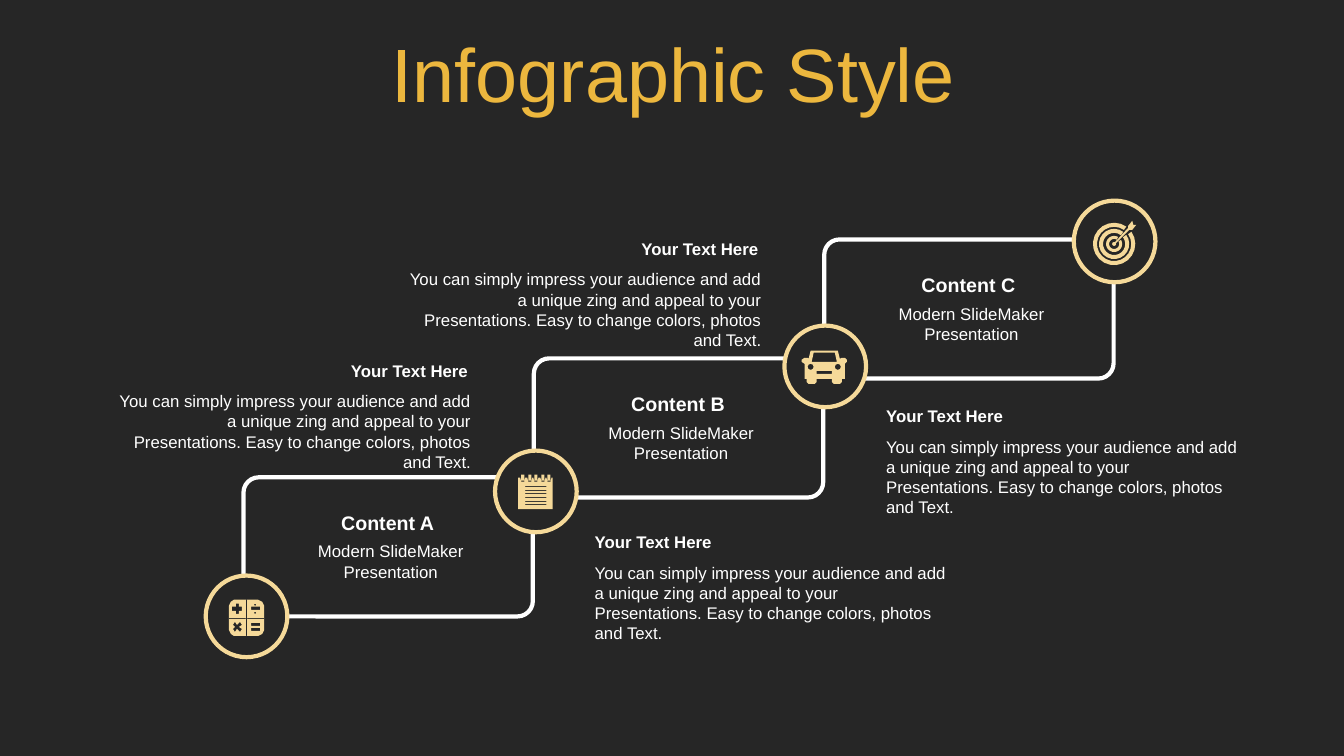
"""Build the "Infographic Style" slide: three stepped cards joined by icon circles."""
from dataclasses import dataclass
from math import cos, radians, sin

from pptx import Presentation
from pptx.dml.color import RGBColor
from pptx.enum.shapes import MSO_SHAPE
from pptx.enum.text import MSO_ANCHOR, MSO_AUTO_SIZE, PP_ALIGN
from pptx.util import Inches, Pt

ROUNDED, OVAL = MSO_SHAPE.ROUNDED_RECTANGLE, MSO_SHAPE.OVAL
LEFT, CENTER, RIGHT = PP_ALIGN.LEFT, PP_ALIGN.CENTER, PP_ALIGN.RIGHT
MIDDLE, GROW = MSO_ANCHOR.MIDDLE, MSO_AUTO_SIZE.SHAPE_TO_FIT_TEXT


@dataclass(frozen=True)
class Theme:
    font: str = "Arial"
    dark: RGBColor = RGBColor(0x26, 0x26, 0x26)
    white: RGBColor = RGBColor(0xFF, 0xFF, 0xFF)
    gold: RGBColor = RGBColor(0xEC, 0xB7, 0x3E)
    cream: RGBColor = RGBColor(0xF5, 0xD9, 0x99)
    title: int = 54
    heading: int = 14
    body: int = 12
    line: int = 3


theme = Theme()

prs = Presentation()
prs.slide_width, prs.slide_height = Inches(13.33), Inches(7.5)
s = prs.slides.add_slide(prs.slide_layouts[6])
s.background.fill.solid()
s.background.fill.fore_color.rgb = theme.dark


def add_text(box, text, size, align, bold=False, color=theme.white):
    """Add a one-paragraph text box and return its text frame."""
    tf = s.shapes.add_textbox(*map(Inches, box)).text_frame
    tf.word_wrap = True
    tf.auto_size = GROW
    p = tf.paragraphs[0]
    p.alignment = align
    r = p.add_run()
    r.text = text
    r.font.name, r.font.size, r.font.bold = theme.font, Pt(size), bold
    r.font.color.rgb = color
    return tf


def add_icon(parts):
    """Draw boxes, dots, rings and polygons as one outline; nested parts become holes."""
    contours = []
    for kind, *values in parts:
        if kind == "box":
            x, y, w, h = values
            points = [(x, y), (x + w, y), (x + w, y + h), (x, y + h)]
        elif kind == "dot":
            x, y, radius = values
            points = [(x + radius * cos(radians(a)), y + radius * sin(radians(a)))
                      for a in range(0, 360, 45)]
        elif kind == "ring":
            x, y, outer, inner, gap = values
            angles = [radians(-45 + gap + (360 - 2 * gap) * i / 20) for i in range(21)]
            points = [(x + outer * cos(a), y + outer * sin(a)) for a in angles]
            points += [(x + inner * cos(a), y + inner * sin(a)) for a in reversed(angles)]
        else:
            points = values
        contours.append([(Inches(x), Inches(y)) for x, y in points])
    builder = s.shapes.build_freeform(*contours[0][0])
    for i, points in enumerate(contours):
        if i:
            builder.move_to(*points[0])
        builder.add_line_segments(points[1:], close=True)
    sp = builder.convert_to_shape()
    sp.shadow.inherit = False
    sp.fill.solid()
    sp.fill.fore_color.rgb = theme.cream
    sp.line.fill.background()


tf = add_text((0.35, 0.31, 12.66, 0.92), "Infographic Style", theme.title, CENTER, color=theme.gold)
tf.vertical_anchor = MIDDLE
tf.paragraphs[0].line_spacing = 0.9

outlines = [(ROUNDED, 3.16 + 2.88 * i, 3.99 - 1.18 * i, 1.38, 2.87, theme.white) for i in range(3)]
outlines += [(OVAL, 2.04 + 2.87 * i, 5.71 - 1.24 * i, 0.81, 0.81, theme.cream) for i in range(4)]
for preset, x, y, w, h, color in outlines:
    sp = s.shapes.add_shape(preset, Inches(x), Inches(y), Inches(w), Inches(h))
    sp.shadow.inherit = False
    sp.fill.solid()
    sp.fill.fore_color.rgb = theme.dark
    sp.line.color.rgb = color
    sp.line.width = Pt(theme.line)
    if preset == ROUNDED:
        sp.adjustments[0] = 0.11
        sp.rotation = 270

for i, letter in enumerate("ABC"):
    x, y = 2.92 + 2.88 * i, 5.02 - 1.18 * i
    add_text((x, y, 1.85, 0.34), f"Content {letter}", theme.heading, CENTER, bold=True)
    tf = add_text((x, y + 0.3, 1.85, 0.5), "Modern SlideMaker Presentation", theme.body, CENTER)
    tf.margin_left = Inches(0.16)

NOTE = ("You can simply impress your audience and add a unique zing and appeal to your "
        "Presentations. Easy to change colors, photos and Text.")
for x, y, align in [(5.8, 5.23, LEFT), (8.69, 3.98, LEFT), (1.07, 3.53, RIGHT), (3.95, 2.32, RIGHT)]:
    add_text((x, y, 3.67, 0.3), "Your Text Here", theme.body, align, bold=True)
    add_text((x, y + 0.3, 3.7, 0.71), NOTE, theme.body, align)

calculator = [
    ("poly", (2.32, 5.95), (2.56, 5.95), (2.6, 5.97), (2.62, 6.01), (2.62, 6.25), (2.6, 6.29),
     (2.56, 6.31), (2.32, 6.31), (2.29, 6.29), (2.27, 6.25), (2.27, 6.01), (2.29, 5.97)),
    ("box", 2.44, 5.95, 0.01, 0.36),
    ("box", 2.27, 6.13, 0.17, 0.01),
    ("box", 2.45, 6.13, 0.17, 0.01),
    ("poly", (2.34, 5.99), (2.37, 5.99), (2.37, 6.02), (2.4, 6.02), (2.4, 6.06), (2.37, 6.06),
     (2.37, 6.09), (2.34, 6.09), (2.34, 6.06), (2.3, 6.06), (2.3, 6.02), (2.34, 6.02)),
    ("poly", (2.33, 6.17), (2.35, 6.2), (2.38, 6.17), (2.4, 6.2), (2.37, 6.22), (2.4, 6.24),
     (2.38, 6.27), (2.35, 6.24), (2.33, 6.27), (2.31, 6.24), (2.33, 6.22), (2.31, 6.2)),
    ("dot", 2.53, 6, 0.01),
    ("dot", 2.53, 6.08, 0.01),
]
calculator += [("box", 2.49, y, 0.09, 0.03) for y in (6.02, 6.18, 6.23)]

loops = [5.17, 5.24, 5.3, 5.37, 5.43]
page = [(5.14, 4.74)]
for x in loops:
    page += [(x - 0.01, 4.74), (x, 4.78), (x + 0.03, 4.78), (x + 0.04, 4.74)]
notepad = [("poly", *page, (5.48, 4.74), (5.48, 5.05), (5.14, 5.05))]
notepad += [("box", 5.21, y, 0.21, 0.01) for y in (4.82, 4.86, 4.89, 4.93, 4.97, 5)]
notepad += [("box", x, 4.71, 0.03, 0.06) for x in loops]

car = [
    ("poly", (8.04, 3.48), (8.31, 3.48), (8.33, 3.56), (8.35, 3.55), (8.38, 3.55), (8.4, 3.57),
     (8.4, 3.59), (8.38, 3.61), (8.38, 3.76), (8.35, 3.76), (8.35, 3.79), (8.33, 3.81),
     (8.27, 3.81), (8.25, 3.79), (8.25, 3.76), (8.1, 3.76), (8.1, 3.79), (8.08, 3.81),
     (8.02, 3.81), (8, 3.79), (8, 3.76), (7.98, 3.76), (7.98, 3.61), (7.95, 3.59),
     (7.95, 3.57), (7.98, 3.55), (8.01, 3.55), (8.02, 3.56)),
    ("poly", (8.07, 3.5), (8.28, 3.5), (8.3, 3.59), (8.05, 3.59)),
    ("dot", 8.04, 3.64, 0.03),
    ("dot", 8.31, 3.64, 0.03),
    ("box", 8.1, 3.68, 0.15, 0.03),
]

target = [("ring", 11.05, 2.42, outer, inner, gap) for outer, inner, gap in
          [(0.21, 0.17, 10), (0.15, 0.11, 8), (0.08, 0.05, 15)]]
target.append(("dot", 11.05, 2.42, 0.02))
target.append(("poly", (11.06, 2.4), (11.19, 2.26), (11.19, 2.24), (11.23, 2.19), (11.24, 2.23),
               (11.27, 2.23), (11.23, 2.28), (11.2, 2.28), (11.07, 2.41)))

for icon in (calculator, notepad, car, target):
    add_icon(icon)

prs.save("out.pptx")
